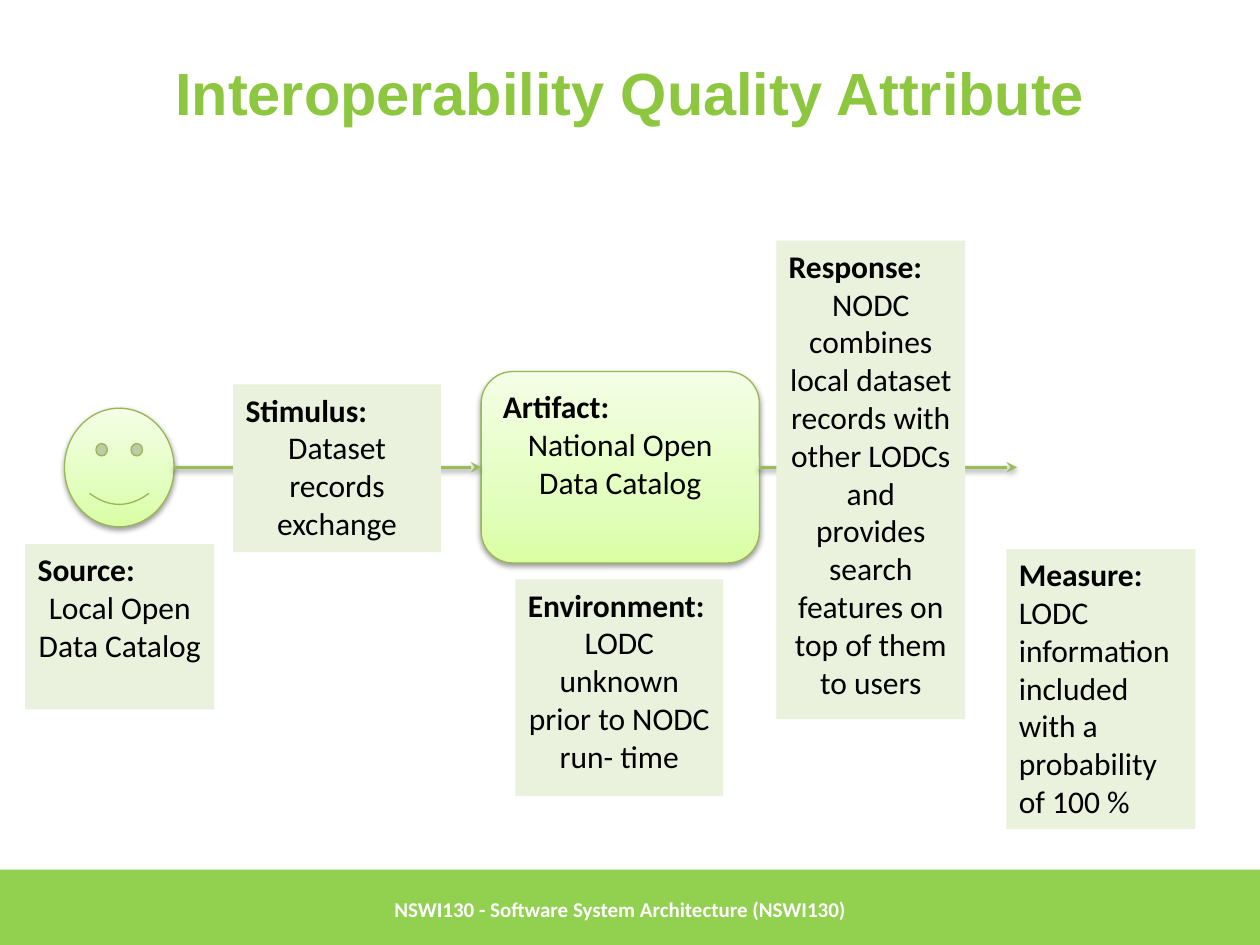
from copy import deepcopy
from dataclasses import dataclass

from lxml.etree import SubElement
from pptx import Presentation
from pptx.dml.color import RGBColor
from pptx.enum.shapes import MSO_CONNECTOR, MSO_SHAPE
from pptx.enum.text import MSO_ANCHOR, PP_ALIGN
from pptx.oxml.ns import qn
from pptx.util import Cm, Pt


@dataclass(frozen=True)
class Theme:
    title: RGBColor = RGBColor(0x8D, 0xC6, 0x3F)
    band: RGBColor = RGBColor(0x92, 0xD0, 0x50)
    box: RGBColor = RGBColor(0xEA, 0xF1, 0xDD)
    outline: RGBColor = RGBColor(0x97, 0xB8, 0x53)
    arrow: RGBColor = RGBColor(0x9B, 0xBB, 0x59)
    text: RGBColor = RGBColor(0, 0, 0)
    white: RGBColor = RGBColor(0xFF, 0xFF, 0xFF)
    gradient: tuple = ((0, "DAFEA4"), (0.35, "E3FEBF"), (1, "F4FEE6"))
    title_size: Pt = Pt(34)
    body_size: Pt = Pt(18)
    footer_size: Pt = Pt(12)
    title_font: str = "Arial"
    body_font: str = "Calibri"


T = Theme()
LEFT, CENTER = PP_ALIGN.LEFT, PP_ALIGN.CENTER


def write(sp, lines, size, color, font=T.body_font, anchor=MSO_ANCHOR.TOP):
    """Fill a shape with (text, alignment, bold) paragraphs."""
    tf = sp.text_frame
    tf.word_wrap = True
    tf.vertical_anchor = anchor
    for i, (text, align, bold) in enumerate(lines):
        p = tf.add_paragraph() if i else tf.paragraphs[0]
        p.text = text
        p.alignment = align
        p.font.name, p.font.size, p.font.bold = font, size, bold
        p.font.color.rgb = color


def add_shadow(sp):
    """Give a shape or connector a soft shadow below it."""
    effects = SubElement(sp._element.spPr, qn("a:effectLst"))
    shadow = SubElement(effects, qn("a:outerShdw"), blurRad="40000",
                        dist="20000", dir="5400000", rotWithShape="0")
    black = SubElement(shadow, qn("a:srgbClr"), val="000000")
    SubElement(black, qn("a:alpha"), val="38000")


prs = Presentation()
prs.slide_width, prs.slide_height = Cm(25.4), Cm(19.05)
s = prs.slides.add_slide(prs.slide_layouts[6])

# Footer band and title
sp = s.shapes.add_shape(MSO_SHAPE.RECTANGLE, 0, Cm(17.53), Cm(25.4), Cm(1.6))
sp.shadow.inherit = False
sp.fill.solid()
sp.fill.fore_color.rgb = T.band
sp.line.fill.background()

sp = s.shapes.add_textbox(Cm(1.27), Cm(0.76), Cm(22.86), Cm(2.16))
write(sp, [("Interoperability Quality Attribute", CENTER, True)],
      T.title_size, T.title, T.title_font, MSO_ANCHOR.MIDDLE)

sp = s.shapes.add_textbox(Cm(7.7), Cm(17.53), Cm(15.29), Cm(1.6))
write(sp, [("NSWI130 - Software System Architecture (NSWI130)", LEFT, True)],
      T.footer_size, T.white, anchor=MSO_ANCHOR.MIDDLE)

# Source face and artifact
nodes = [
    (MSO_SHAPE.SMILEY_FACE, (1.3, 8.23, 2.21, 2.39), []),
    (MSO_SHAPE.ROUNDED_RECTANGLE, (9.7, 7.49, 5.61, 3.86),
     [("Artifact:", LEFT, True), ("National Open Data Catalog", CENTER, False)]),
]
for kind, place, lines in nodes:
    sp = s.shapes.add_shape(kind, *map(Cm, place))
    sp.fill.gradient()
    sp.fill.gradient_angle = 90
    stops = sp.fill._xPr.find(qn("a:gradFill")).find(qn("a:gsLst"))
    stops.insert(1, deepcopy(stops[0]))
    for stop, (position, color) in zip(sp.fill.gradient_stops, T.gradient):
        stop.position = position
        stop.color.rgb = RGBColor.from_string(color)
    sp.line.color.rgb = T.outline
    sp.line.width = Pt(0.75)
    add_shadow(sp)
    write(sp, lines, T.body_size, T.text)

# Flow arrows
flow_y = Cm(9.42)
for start, end in [(3.51, 9.7), (15.3, 20.5)]:
    arrow = s.shapes.add_connector(MSO_CONNECTOR.STRAIGHT,
                                   Cm(start), flow_y, Cm(end), flow_y)
    arrow.line.color.rgb = T.arrow
    arrow.line.width = Pt(2)
    SubElement(arrow.line._get_or_add_ln(), qn("a:tailEnd"), type="stealth")
    add_shadow(arrow)

# Scenario boxes
boxes = [
    ("Source:", (0.51, 10.97, 3.81, 3.33), CENTER, ["Local Open Data Catalog"]),
    ("Stimulus:", (4.7, 7.75, 4.19, 3.38), CENTER,
     ["Dataset records", "exchange"]),
    ("Environment:", (10.39, 11.68, 4.19, 4.37), CENTER,
     ["LODC unknown prior to NODC run- time"]),
    ("Response:", (15.65, 4.85, 3.81, 9.65), CENTER,
     ["NODC combines local dataset records with other LODCs and provides "
      "search features on top of them to users"]),
    ("Measure:", (20.29, 11.07, 3.81, 5.64), LEFT,
     ["LODC information included with a probability of 100 %"]),
]
for heading, place, align, body in boxes:
    sp = s.shapes.add_shape(MSO_SHAPE.RECTANGLE, *map(Cm, place))
    sp.shadow.inherit = False
    sp.fill.solid()
    sp.fill.fore_color.rgb = T.box
    sp.line.fill.background()
    lines = [(heading, LEFT, True)] + [(text, align, False) for text in body]
    write(sp, lines, T.body_size, T.text)

prs.save("out.pptx")
